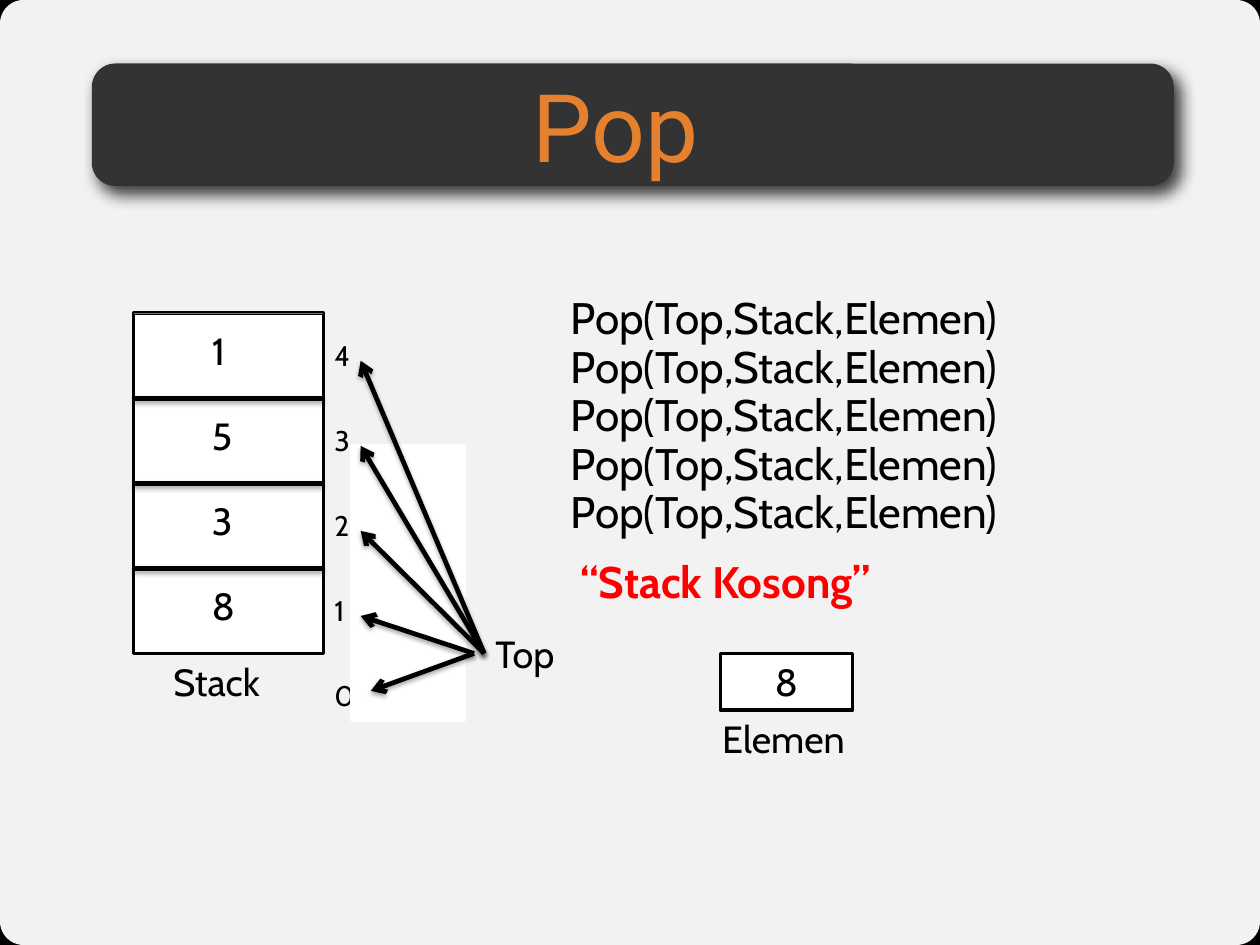
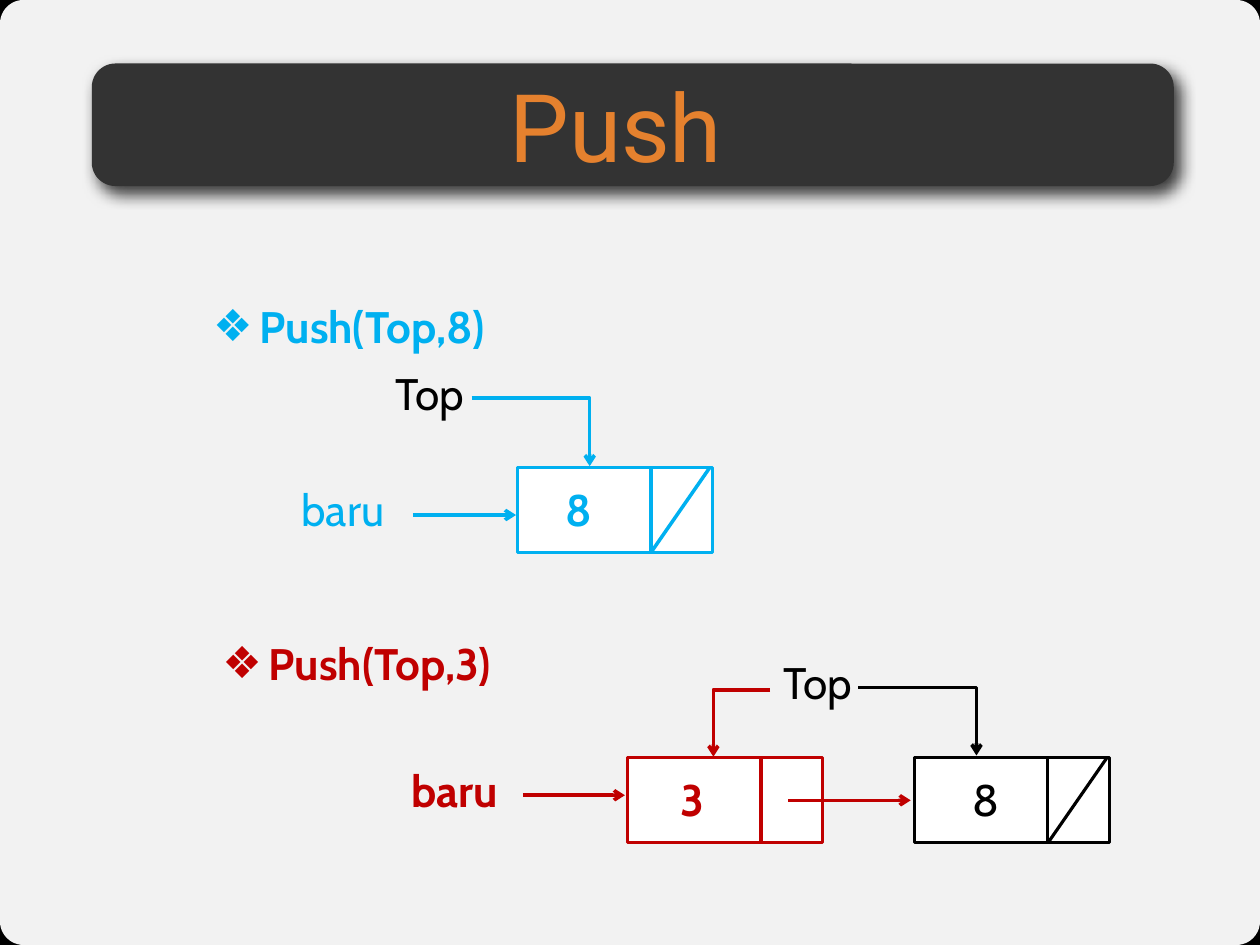
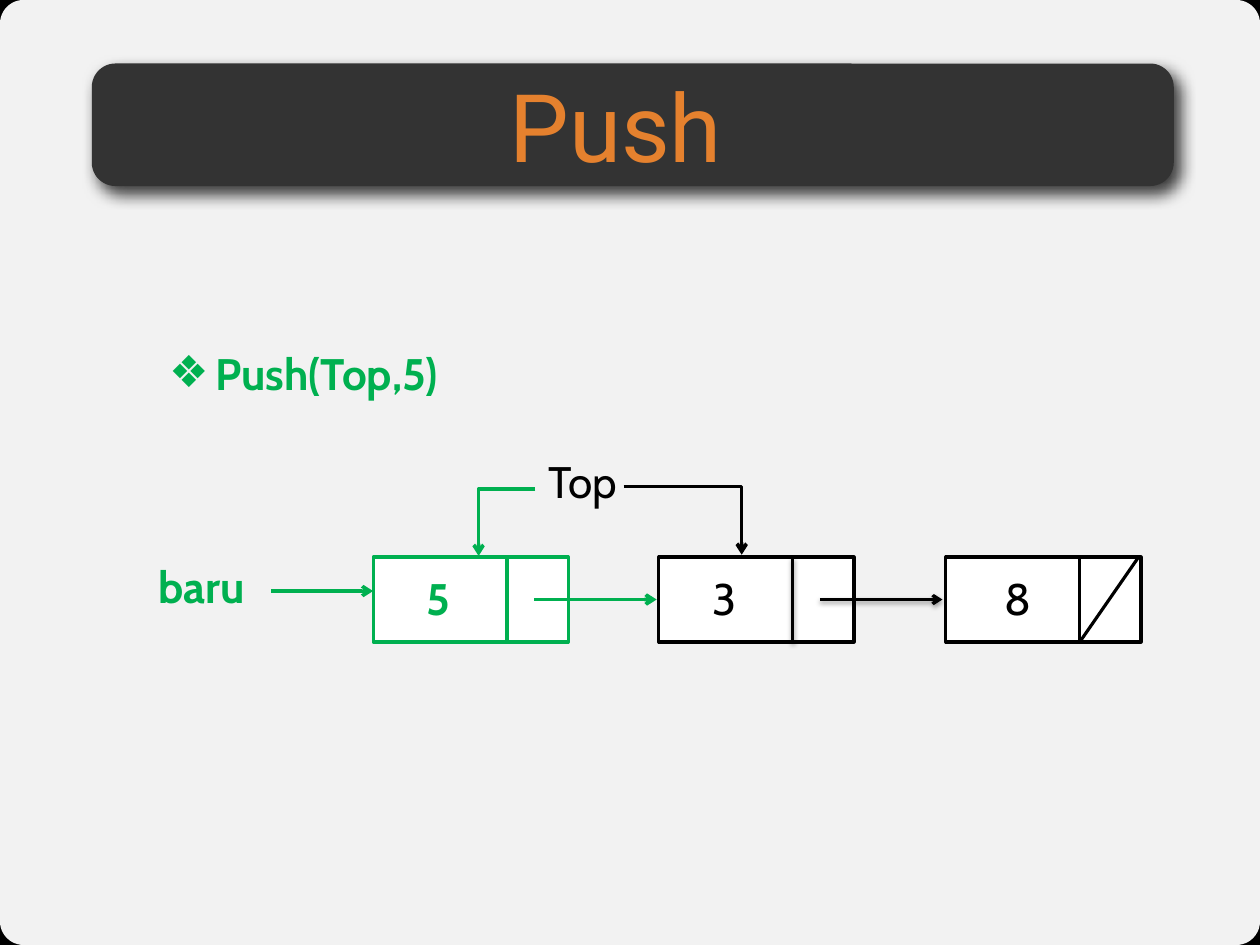
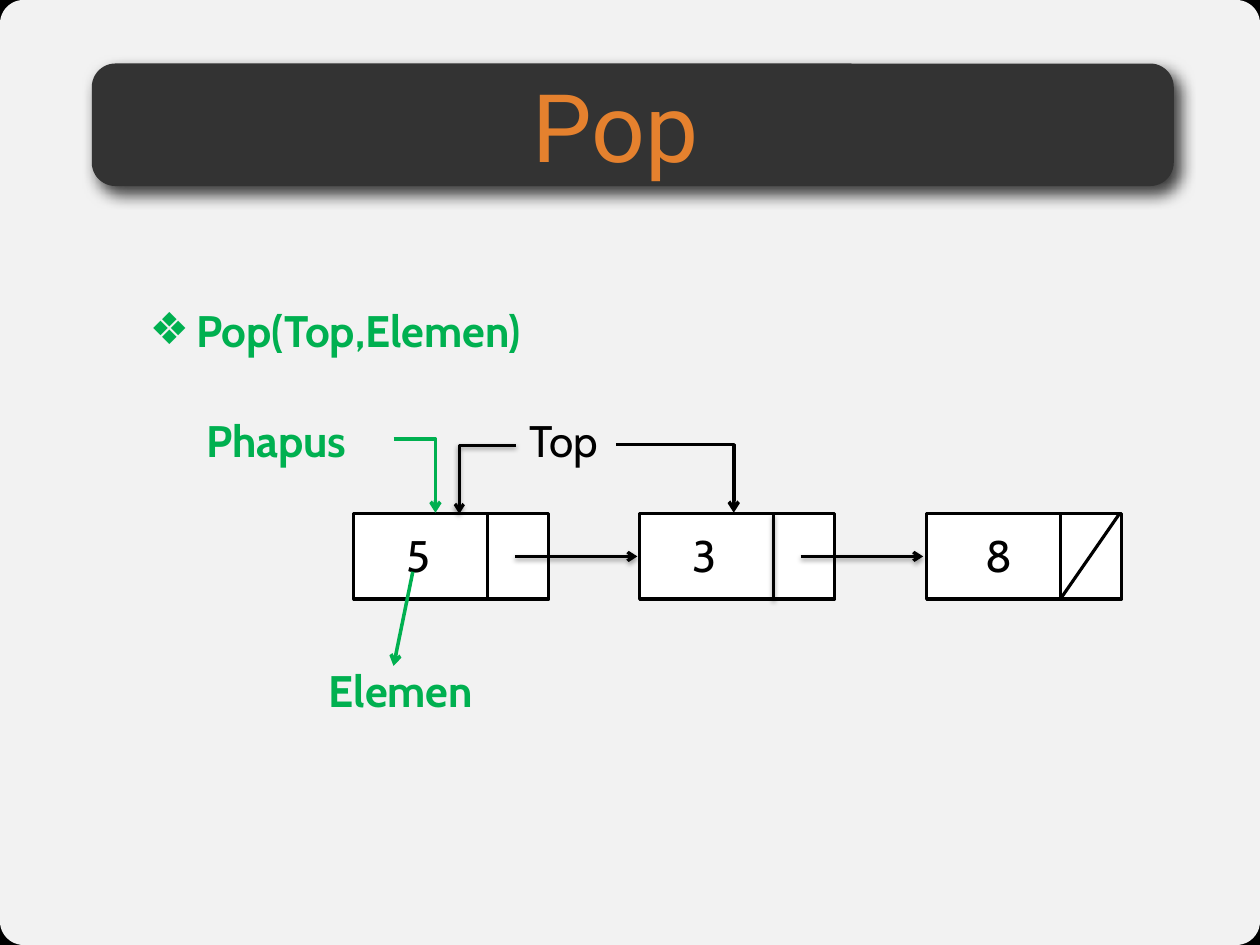
from lxml import etree
from pptx import Presentation
from pptx import util as u
from pptx.dml import color as dml
from pptx.enum import shapes, text
from pptx.oxml import ns

COLORS = {
    "black": "000000", "white": "FFFFFF", "band": "333333", "title": "E5812E",
    "teal": "2F8B82", "blue": "00B0F0", "red": "C00000", "green": "00B050",
    "alert": "FF0000",
}
NODE_WIDTH, NODE_HEIGHT, DIVIDER = 1.72, 0.75, 1.18
TITLE_AND_CONTENT, TWO_CONTENT = 1, 3


def rgb(name):
    return dml.RGBColor.from_string(COLORS[name])


def add_xml(parent, tag, **attributes):
    return etree.SubElement(parent, ns.qn(tag), attributes)


def add_shadow(effects, alpha, blur, distance, angle):
    outer = add_xml(effects, "a:outerShdw", blurRad=str(u.Pt(blur)),
                    dist=str(u.Pt(distance)), dir=str(angle * 60000),
                    algn="tl", rotWithShape="0")
    shade = add_xml(outer, "a:srgbClr", val=COLORS["black"])
    add_xml(shade, "a:alpha", val=str(alpha * 1000))


class Deck:
    """Holds the shared style and the slide being drawn."""

    font, title_font = "Cabin", "Roboto"

    def __init__(self):
        self.presentation = Presentation()
        self.presentation.slide_width = u.Inches(11.11)
        self.presentation.slide_height = u.Inches(8.33)
        background = self.presentation.slide_master.background.fill
        background.solid()
        background.fore_color.rgb = rgb("black")
        self.slide = None

    def new_slide(self, title, layout=TITLE_AND_CONTENT):
        layouts = self.presentation.slide_layouts
        self.slide = self.presentation.slides.add_slide(layouts[layout])
        # Light panel and title band, behind the placeholders
        rounded = shapes.MSO_SHAPE.ROUNDED_RECTANGLE
        panel = self.box(0, 0, 11.11, 8.33, kind=rounded)
        panel.adjustments[0] = 0.025
        panel_color = panel.element.spPr.find(".//" + ns.qn("a:srgbClr"))
        add_xml(panel_color, "a:alpha", val="95000")
        band = self.box(0.81, 0.56, 9.54, 1.08, fill="band", kind=rounded)
        band.adjustments[0] = 0.192
        add_shadow(band.element.spPr.find(ns.qn("a:effectLst")), 75, 10, 6, 51)
        for position, shape in enumerate((panel, band), start=2):
            self.slide.shapes.element.insert(position, shape.element)
        # Title
        shape = self.slide.shapes.title
        self.place(shape, 0.68, 0.6, 9.5, 1)
        frame = shape.text_frame
        frame.margin_left = frame.margin_right = 0
        frame.margin_top = frame.margin_bottom = 0
        self.set_text(frame, title, 60, "title", font=self.title_font, center=True)
        frame.vertical_anchor = text.MSO_ANCHOR.MIDDLE

    def place(self, shape, left, top, width, height):
        shape.left, shape.top = u.Inches(left), u.Inches(top)
        shape.width, shape.height = u.Inches(width), u.Inches(height)

    def set_text(self, frame, content, size, color, bold=False, font=None, center=False):
        frame.text = content
        frame.word_wrap = True
        frame.auto_size = text.MSO_AUTO_SIZE.NONE
        frame.vertical_anchor = text.MSO_ANCHOR.TOP
        for paragraph in frame.paragraphs:
            paragraph.alignment = text.PP_ALIGN.CENTER if center else text.PP_ALIGN.LEFT
            paragraph.space_before = u.Pt(0)
            for run in paragraph.runs:
                run.font.name = font or self.font
                run.font.size = u.Pt(size)
                run.font.bold = bold
                run.font.color.rgb = rgb(color)

    def label(self, content, left, top, width=1.26, size=28, color="black", bold=False):
        height = 0.1 + size * 0.017
        shape = self.slide.shapes.add_textbox(
            u.Inches(left), u.Inches(top), u.Inches(width), u.Inches(height))
        self.set_text(shape.text_frame, content, size, color, bold)

    def body(self, content, left, top, width, height=0.57, color="black",
             bullet=None, line_spacing=None, index=1):
        shape = self.slide.placeholders[index]
        self.place(shape, left, top, width, height)
        self.set_text(shape.text_frame, content, 28, color, bold=bool(bullet))
        indent = u.Inches(0.41) if bullet else 0
        for paragraph in shape.text_frame.paragraphs:
            if line_spacing:
                paragraph.line_spacing = u.Pt(line_spacing)
            properties = paragraph._p.get_or_add_pPr()
            properties.set("marL", str(indent))
            properties.set("indent", str(-indent))
            if bullet:
                add_xml(properties, "a:buFont", typeface="DejaVu Sans")
                add_xml(properties, "a:buChar", char=bullet)
            else:
                add_xml(properties, "a:buNone")

    def heading(self, content, left, top, width, color, index=1):
        self.body(content, left, top, width, color=color, bullet="❖", index=index)

    def box(self, left, top, width, height, fill="white", line=None,
            kind=shapes.MSO_SHAPE.RECTANGLE):
        shape = self.slide.shapes.add_shape(
            kind, u.Inches(left), u.Inches(top), u.Inches(width), u.Inches(height))
        shape.shadow.inherit = False
        shape.fill.solid()
        shape.fill.fore_color.rgb = rgb(fill)
        if line:
            shape.line.color.rgb = rgb(line)
            shape.line.width = u.Pt(2)
        else:
            shape.line.fill.background()
        return shape

    def line(self, start, end, color="black", width=2.25, arrow=False, shadow=False,
             kind=shapes.MSO_CONNECTOR.STRAIGHT):
        connector = self.slide.shapes.add_connector(
            kind, *(u.Inches(value) for value in (*start, *end)))
        connector.line.color.rgb = rgb(color)
        connector.line.width = u.Pt(width)
        if arrow:
            outline = connector.element.spPr.find(ns.qn("a:ln"))
            add_xml(outline, "a:tailEnd", type="arrow")
        effects = add_xml(connector.element.spPr, "a:effectLst")
        if shadow:
            add_shadow(effects, 36, 3.1, 1.7, 90)
        return connector

    def arrow(self, start, end, color="black", width=2.25, shadow=False):
        self.line(start, end, color, width, arrow=True, shadow=shadow)

    def corner_arrow(self, start, end, color="black", width=2.25, shadow=False):
        """Runs sideways first, then down."""
        connector = self.line(start, end, color, width, True, shadow,
                              kind=shapes.MSO_CONNECTOR.ELBOW)
        properties = connector.element.spPr
        properties.find(ns.qn("a:prstGeom")).set("prst", "bentConnector2")
        if end[0] < start[0]:
            # A half turn with a vertical flip mirrors the corner to the left
            frame = properties.find(ns.qn("a:xfrm"))
            frame.attrib.pop("flipH", None)
            frame.set("rot", "10800000")
            frame.set("flipV", "1")

    def node(self, value, left, top, color="black", last=False, value_offset=0.37,
             shadow=False):
        """Linked-list cell; the last one has a struck-out pointer."""
        width = 2 if color == "black" else 2.25
        divider, bottom = left + DIVIDER, top + NODE_HEIGHT
        self.box(left, top, NODE_WIDTH, NODE_HEIGHT, line=color)
        self.line((divider, top), (divider, bottom), color, width, shadow=shadow)
        if last:
            self.line((left + 1.7, top), (divider, bottom), color, width)
        self.label(value, left + value_offset, top + 0.08, 0.63, color=color,
                   bold=color != "black")

    def link(self, left, top, color="black"):
        """Arrow from the pointer cell of the node at left, top to the next node."""
        black = color == "black"
        y = top + NODE_HEIGHT / 2
        self.arrow((left + 1.42, y), (left + 2.5, y), color,
                   2 if black else 2.25, shadow=black)


def draw_pop_array(deck):
    deck.new_slide("Pop")
    deck.body("\n".join(["Pop(Top,Stack,Elemen)"] * 5), 4.93, 2.55, 5.58, 2.24,
              line_spacing=30.8)
    # Stack cells and indexes
    left, right, top, row = 1.18, 2.85, 2.76, 0.75
    deck.box(left, top, right - left, 4 * row, line="black")
    for index in range(1, 4):
        y = top + index * row
        deck.line((left, y), (right, y), width=3, shadow=True)
    deck.line((left, top), (right, top), "teal", 0.75)
    for index, value in enumerate("1538"):
        deck.label(value, 1.77, 2.84 + index * row, 0.5, size=24)
    for index, number in enumerate("43210"):
        deck.label(number, right, 2.93 + index * row, 0.42, size=18)
    # Positions of Top
    deck.box(3.1, 3.93, 1, 2.42, line="white")
    for index in range(3):
        deck.arrow((4.27, 5.76), (3.18, 3.18 + index * row), width=3, shadow=True)
    for end in ((3.18, 5.43), (3.27, 6.09)):
        deck.arrow((4.18, 5.76), end, width=3, shadow=True)
    deck.label("Top", 4.27, 5.51, 1.33, size=24)
    deck.label("Stack", 1.43, 5.76, 1.17, size=24)
    # Popped element
    deck.label("“Stack Kosong”", 5.02, 4.84, 3.25, color="alert", bold=True)
    element = deck.box(6.35, 5.76, 1.17, 0.5, line="black")
    deck.set_text(element.text_frame, "8", 24, "black", center=True)
    deck.label("Elemen", 6.27, 6.26, 1.83, size=24)


def draw_push_first(deck):
    deck.new_slide("Push", TWO_CONTENT)
    # Push into an empty list
    deck.heading("Push(Top,8)", 1.78, 2.59, 3.5, "blue")
    deck.node("8", 4.56, 4.12, "blue", last=True, value_offset=0.33)
    deck.label("baru", 2.56, 4.2, color="blue")
    deck.arrow((3.64, 4.54), (4.55, 4.54), "blue")
    deck.label("Top", 3.39, 3.18)
    deck.corner_arrow((4.16, 3.51), (5.2, 4.11), "blue")
    # Push in front of 8
    deck.heading("Push(Top,3)", 1.86, 5.56, 3, "red", index=2)
    deck.node("3", 5.53, 6.68, "red")
    deck.node("8", 8.06, 6.68, last=True, value_offset=0.42)
    deck.link(5.53, 6.68, "red")
    deck.label("baru", 3.53, 6.68, color="red", bold=True)
    deck.arrow((4.61, 7.01), (5.51, 7.01), "red")
    deck.label("Top", 6.81, 5.73)
    deck.corner_arrow((7.57, 6.06), (8.61, 6.66))
    deck.corner_arrow((6.79, 6.08), (6.29, 6.67), "red")


def draw_three_nodes(deck, left, top, first_color):
    deck.node("5", left, top, first_color)
    deck.node("3", left + 2.52, top, shadow=True)
    deck.node("8", left + 5.05, top, last=True, value_offset=0.42)
    deck.link(left, top, first_color)
    deck.link(left + 2.52, top)


def draw_push_third(deck):
    deck.new_slide("Push")
    deck.heading("Push(Top,5)", 1.39, 3, 3, "green")
    draw_three_nodes(deck, 3.29, 4.91, "green")
    deck.label("baru", 1.3, 4.88, color="green", bold=True)
    deck.arrow((2.39, 5.21), (3.29, 5.21), "green")
    deck.label("Top", 4.74, 3.96)
    deck.corner_arrow((5.5, 4.29), (6.54, 4.89))
    deck.corner_arrow((4.72, 4.31), (4.22, 4.9), "green")


def draw_pop_list(deck):
    deck.new_slide("Pop")
    deck.heading("Pop(Top,Elemen)", 1.22, 2.62, 4.17, "green")
    draw_three_nodes(deck, 3.12, 4.53, "black")
    deck.label("Top", 4.57, 3.59)
    deck.corner_arrow((4.55, 3.93), (4.05, 4.53), width=2, shadow=True)
    deck.corner_arrow((5.43, 3.92), (6.47, 4.52))
    # Removed node
    deck.label("Phapus", 1.72, 3.59, 1.75, color="green", bold=True)
    deck.corner_arrow((3.47, 3.87), (3.84, 4.52), "green")
    deck.label("Elemen", 2.8, 5.8, 1.75, color="green", bold=True)
    deck.arrow((3.64, 5.04), (3.47, 5.87), "green")


def main():
    deck = Deck()
    for draw in (draw_pop_array, draw_push_first, draw_push_third, draw_pop_list):
        draw(deck)
    deck.presentation.save("out.pptx")


if __name__ == "__main__":
    main()
